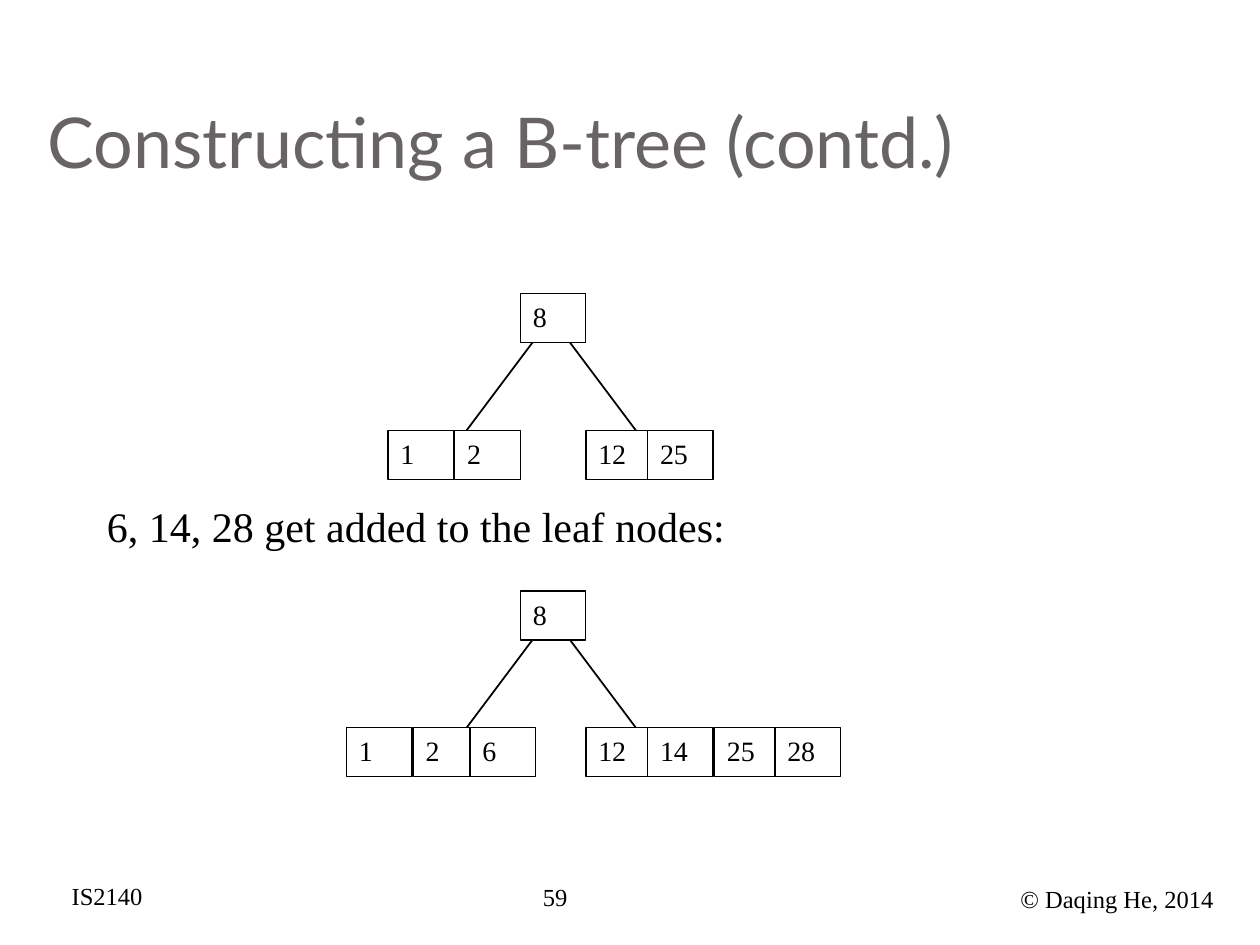
from lxml.etree import SubElement
from pptx import Presentation
from pptx.dml.color import RGBColor
from pptx.enum.shapes import MSO_CONNECTOR, MSO_SHAPE
from pptx.enum.text import MSO_ANCHOR, MSO_AUTO_SIZE, PP_ALIGN
from pptx.oxml.ns import qn
from pptx.util import Inches, Pt

BLACK = RGBColor(0x00, 0x00, 0x00)
WHITE = RGBColor(0xFF, 0xFF, 0xFF)
GRAY = RGBColor(0x69, 0x64, 0x64)
SERIF, SANS = "Times New Roman", "Lato"

KEY_W, KEY_H = 0.52, 0.39
ROOT_X = 4.13
LEAF_DROP = 1.085                       # from root top to leaf top
EDGE_TOP, EDGE_DROP = 0.25, 1.0         # edges start inside the root
EDGES = [(4.33, 3.58), (4.42, 5.17)]    # x at the root, x at the leaf


def set_text(shape, text, size, font=SERIF, color=BLACK):
    tf = shape.text_frame
    tf.word_wrap = True
    tf.auto_size = MSO_AUTO_SIZE.NONE
    tf.vertical_anchor = MSO_ANCHOR.TOP
    p = tf.paragraphs[0]
    p.text = text
    p.alignment = PP_ALIGN.LEFT
    f = p.runs[0].font
    f.name, f.size, f.color.rgb = font, Pt(size), color
    return tf


def add_title(s, box, text):
    title = s.shapes.title
    title.left, title.top, title.width, title.height = map(Inches, box)
    tf = set_text(title, text, 40, SANS, GRAY)
    tf.vertical_anchor = MSO_ANCHOR.BOTTOM
    tf.margin_bottom = Inches(0.1)


def add_text(s, box, text, size):
    set_text(s.shapes.add_textbox(*map(Inches, box)), text, size)


def add_edge(s, x1, y1, x2, y2):
    line = s.shapes.add_connector(MSO_CONNECTOR.STRAIGHT, *map(Inches, (x1, y1, x2, y2)))
    line.line.color.rgb = BLACK
    line.line.width = Pt(1)
    SubElement(line._element.spPr, qn("a:effectLst"))


def add_key(s, x, y, label):
    key = s.shapes.add_shape(MSO_SHAPE.RECTANGLE, *map(Inches, (x, y, KEY_W, KEY_H)))
    key.shadow.inherit = False
    key.fill.solid()
    key.fill.fore_color.rgb = WHITE
    key.line.color.rgb = BLACK
    key.line.width = Pt(0.75)
    set_text(key, label, 16)


def add_tree(s, top, root, leaves):
    """Draw a root key and its leaf keys, given as (left, label)."""
    # Edges go behind the keys
    for x1, x2 in EDGES:
        add_edge(s, x1, top + EDGE_TOP, x2, top + EDGE_TOP + EDGE_DROP)
    add_key(s, ROOT_X, top, root)
    for x, label in leaves:
        add_key(s, x, top + LEAF_DROP, label)


def add_footer(s, top):
    for x, dy, w, text in [(0.47, 0, 0.81, "IS2140"),
                           (4.21, 0.01, 1.17, "59"),
                           (8, 0.03, 1.92, "© Daqing He, 2014")]:
        add_text(s, (x, top + dy, w, 0.34), text, 14)


def main():
    prs = Presentation()
    prs.slide_width, prs.slide_height = Inches(10), Inches(7.5)
    s = prs.slides.add_slide(prs.slide_layouts[5])

    add_title(s, (0.28, 0.3, 9.46, 1.25), "Constructing a B-tree (contd.)")
    # Tree before and after the insertions
    add_tree(s, 2.33, "8", [(3.08, "1"), (3.61, "2"), (4.65, "12"), (5.14, "25")])
    add_text(s, (0.75, 3.92, 8.58, 0.5), "6, 14, 28 get added to the leaf nodes:", 24)
    add_tree(s, 4.69, "8", [(2.75, "1"), (3.28, "2"), (3.73, "6"), (4.65, "12"),
                            (5.14, "14"), (5.67, "25"), (6.15, "28")])
    add_footer(s, 6.94)
    prs.save("out.pptx")


if __name__ == "__main__":
    main()
